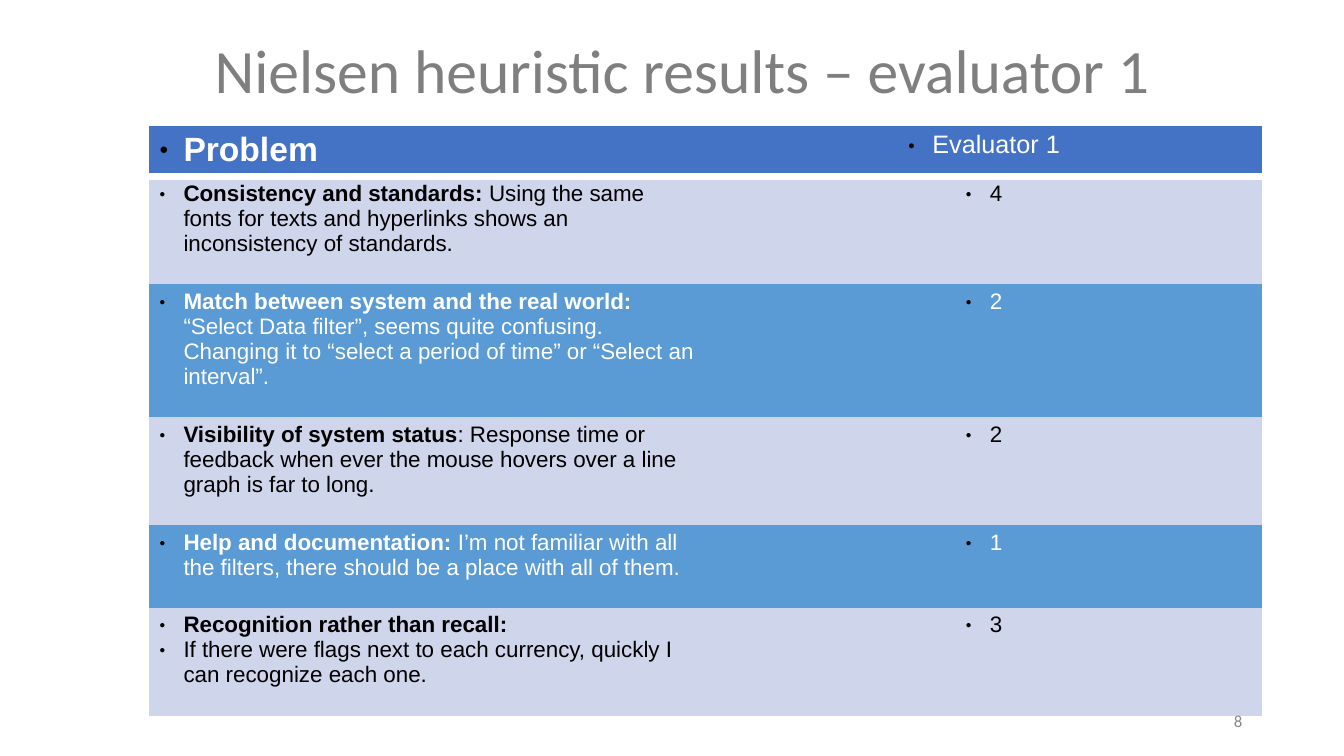
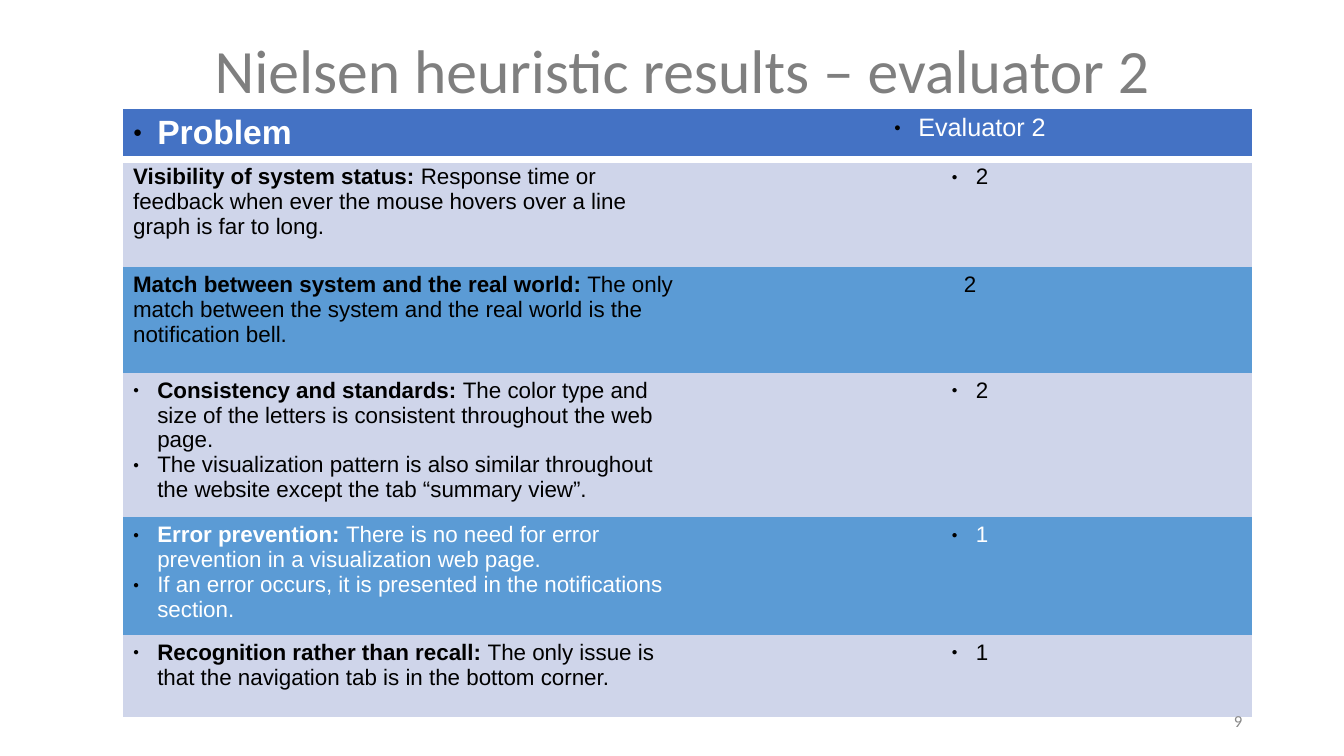
from dataclasses import dataclass

from lxml.etree import SubElement
from pptx import Presentation
from pptx.dml.color import RGBColor
from pptx.enum.text import MSO_ANCHOR as Anchor, PP_ALIGN as Align
from pptx.oxml import parse_xml
from pptx.oxml.ns import nsdecls, qn
from pptx.util import Inches, Pt


@dataclass
class Finding:
    height: float
    score: str
    paras: list  # (bold lead, plain text)
    bullet: bool = True
    score_bullet: bool = True
    dark_text: bool = False


# Content
EVALUATIONS = [
    {
        "evaluator": "1", "number": "8",
        "left": 1.48, "top": 1.25, "column": 5.52,
        "findings": [
            Finding(1.07, "4", [(
                "Consistency and standards: ",
                "Using the same fonts for texts and hyperlinks shows an "
                "inconsistency of standards.")]),
            Finding(1.32, "2", [(
                "Match between system and the real world:",
                " “Select Data filter”, seems quite confusing. Changing it to "
                "“select a period of time” or “Select an interval”.")]),
            Finding(1.07, "2", [(
                "Visibility of system status",
                ": Response time or feedback when ever the mouse hovers over "
                "a line graph is far to long.")]),
            Finding(0.82, "1", [(
                "Help and documentation:",
                " I’m not familiar with all the filters, there should be a "
                "place with all of them.")]),
            Finding(1.07, "3", [
                ("Recognition rather than recall:", ""),
                ("", "If there were flags next to each currency, quickly I "
                     "can recognize each one.")]),
        ],
    },
    {
        "evaluator": "2", "number": "9",
        "left": 1.22, "top": 1.08, "column": 5.6,
        "findings": [
            Finding(1.07, "2", [(
                "Visibility of system status: ",
                "Response time or feedback when ever the mouse hovers over a "
                "line graph is far to long.")], bullet=False),
            Finding(1.05, "2", [(
                "Match between system and the real world:",
                " The only match between the system and the real world is "
                "the notification bell.")],
                bullet=False, score_bullet=False, dark_text=True),
            Finding(1.34, "2", [
                ("Consistency and standards: ",
                 "The color type and size of the letters is consistent "
                 "throughout the web page."),
                ("", "The visualization pattern is also similar throughout "
                     "the website except the tab “summary view”.")]),
            Finding(1.1, "1", [
                ("Error prevention: ",
                 "There is no need for error prevention in a visualization "
                 "web page."),
                ("", "If an error occurs, it is presented in the "
                     "notifications section.")]),
            Finding(0.81, "1", [(
                "Recognition rather than recall: ",
                "The only issue is that the navigation tab is in the bottom "
                "corner.")]),
        ],
    },
]


# Shared look
class Theme:
    heading_font, body_font = "Calibri", "Arial"
    title, number = "7F7F7F", "898989"
    black, white = "000000", "FFFFFF"
    header, bands = "4472C4", ("CFD5EA", "5B9BD5")
    title_size, header_size, evaluator_size = 44, 24, 18
    body_size, number_size = 16, 12
    header_height = 0.47
    indent = 0.24
    plain_table = "{2D5ABB26-0587-4C30-8999-92F81FD0307C}"


def style(font, name, size, color):
    font.name = name
    font.size = Pt(size)
    font.color.rgb = RGBColor.from_string(color)


def add_label(page, text, box, align, size, color, spacing=None):
    label = page.shapes.add_textbox(*map(Inches, box))
    frame = label.text_frame
    frame.word_wrap = True
    frame.vertical_anchor = Anchor.MIDDLE
    para = frame.paragraphs[0]
    para.text = text
    para.alignment = align
    para.line_spacing = spacing
    style(para.font, Theme.heading_font, size, color)


def add_bullet(para):
    props = para._p.get_or_add_pPr()
    props.set("marL", str(Inches(Theme.indent)))
    props.set("indent", str(-Inches(Theme.indent)))
    color = SubElement(props, qn("a:buClr"))
    SubElement(color, qn("a:srgbClr"), val=Theme.black)
    SubElement(props, qn("a:buSzPct"), val="45000")
    SubElement(props, qn("a:buFont"), typeface=Theme.body_font)
    SubElement(props, qn("a:buChar"), char="●")


def fill_cell(cell, paras, size, color, fill, align=Align.LEFT, bullet=True):
    cell.fill.solid()
    cell.fill.fore_color.rgb = RGBColor.from_string(fill)
    frame = cell.text_frame
    for index, parts in enumerate(paras):
        para = frame.add_paragraph() if index else frame.paragraphs[0]
        if bullet:
            add_bullet(para)
        para.alignment = align
        style(para.font, Theme.body_font, size, color)
        for text, bold in zip(parts, (True, False)):
            if text:
                span = para.add_run()
                span.text = text
                span.font.bold = bold


def underline_cell(cell):
    border = parse_xml(
        f'<a:lnB {nsdecls("a")} w="{Pt(6)}"><a:solidFill>'
        f'<a:srgbClr val="{Theme.white}"/></a:solidFill></a:lnB>')
    cell._tc.get_or_add_tcPr().insert(0, border)


def add_findings(page, evaluation):
    findings = evaluation["findings"]
    heights = [Theme.header_height] + [finding.height for finding in findings]
    column = evaluation["column"]
    shape = page.shapes.add_table(
        len(heights), 2, Inches(evaluation["left"]), Inches(evaluation["top"]),
        Inches(2 * column), Inches(sum(heights)))
    shape._element.find(".//" + qn("a:tableStyleId")).text = Theme.plain_table
    table = shape.table
    table.horz_banding = False
    for row, height in zip(table.rows, heights):
        row.height = Inches(height)

    # Header row
    problem, evaluator = table.rows[0].cells
    fill_cell(problem, [("Problem", "")], Theme.header_size, Theme.white,
              Theme.header)
    fill_cell(evaluator, [("", f"Evaluator {evaluation['evaluator']}")],
              Theme.evaluator_size, Theme.white, Theme.header, Align.CENTER)
    for cell in (problem, evaluator):
        underline_cell(cell)

    # One banded row for each finding
    for index, finding in enumerate(findings):
        band = index % 2
        color = Theme.white if band and not finding.dark_text else Theme.black
        text_cell, score_cell = table.rows[index + 1].cells
        look = (Theme.body_size, color, Theme.bands[band])
        fill_cell(text_cell, finding.paras, *look, bullet=finding.bullet)
        fill_cell(score_cell, [("", finding.score)], *look, Align.CENTER,
                  finding.score_bullet)


def main():
    deck = Presentation()
    deck.slide_width, deck.slide_height = Inches(13.33), Inches(7.5)
    for evaluation in EVALUATIONS:
        page = deck.slides.add_slide(deck.slide_layouts[6])
        add_label(page,
                  f"Nielsen heuristic results – evaluator {evaluation['evaluator']}",
                  (1.02, 0, 11.5, 1.45), Align.CENTER,
                  Theme.title_size, Theme.title, 0.9)
        add_findings(page, evaluation)
        add_label(page, evaluation["number"], (9.42, 6.95, 3, 0.4),
                  Align.RIGHT, Theme.number_size, Theme.number)
    deck.save("out.pptx")


if __name__ == "__main__":
    main()
